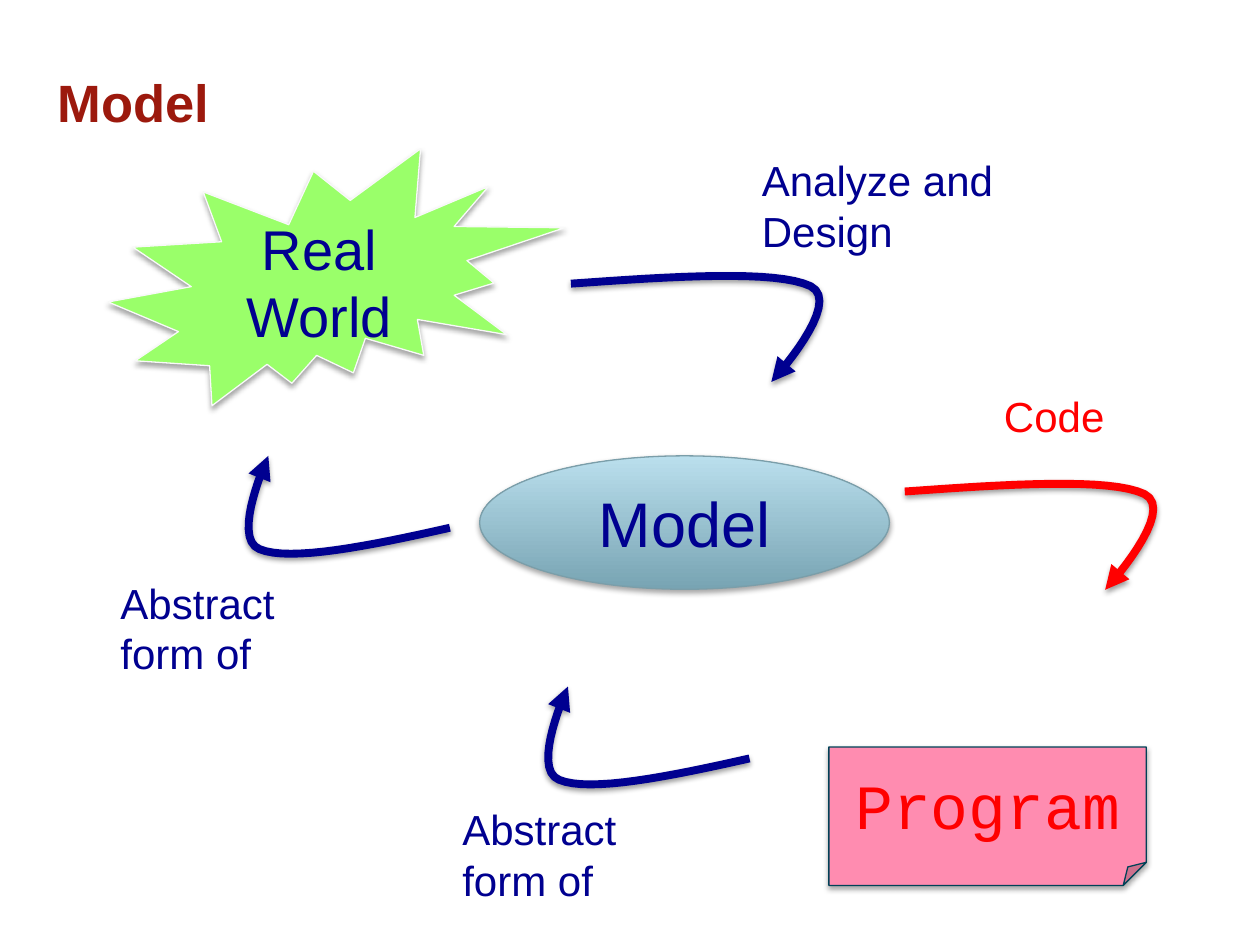
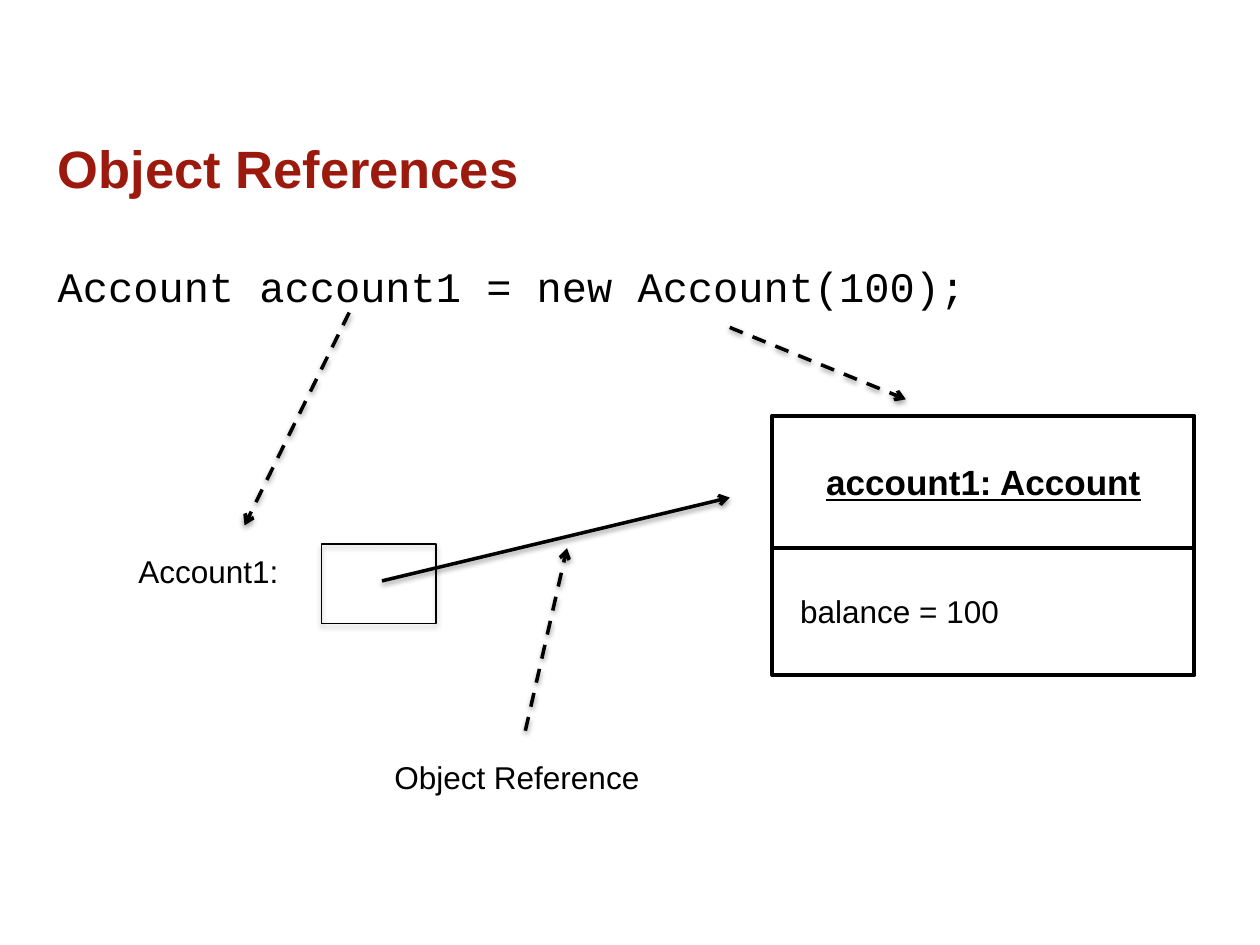
from dataclasses import dataclass

import pptx
import pptx.dml.color
import pptx.enum.dml
import pptx.enum.shapes
import pptx.enum.text
import pptx.oxml.ns
import pptx.util
from lxml import etree

Cm, Pt = pptx.util.Cm, pptx.util.Pt
Kind = pptx.enum.shapes.MSO_SHAPE
Align = pptx.enum.text.PP_ALIGN
Anchor = pptx.enum.text.MSO_ANCHOR
qn = pptx.oxml.ns.qn

# Shared look
SANS, MONO = "Arial", "Courier New"
TITLE, NAVY, RED, BLACK = "9C190D", "000090", "FF0000", "000000"
SHAPE_SHADOW = (35, 23000)  # opacity in percent, distance in EMU
LINE_SHADOW = (38, 20000)
MARGIN, CONTENT_WIDTH = 0.91, 23.57

# Curve points in cm from the start: two joined Bezier arcs
TURN_DOWN = [(0, 0), (2.08, -0.15), (4.14, -0.28), (4.83, 0.05),
             (5.51, 0.38), (4.04, 1.98), (4.04, 1.98)]
TURN_UP = [(0, 0), (-1.6, 0.36), (-3.23, 0.69), (-3.84, 0.43),
           (-4.42, 0.2), (-3.66, -1.45), (-3.66, -1.45)]
STEPS = 16


@dataclass
class Label:
    text: str
    left: float
    top: float
    width: float
    height: float
    size: int = 24
    color: str = NAVY


@dataclass
class Figure:
    kind: Kind
    left: float
    top: float
    width: float
    height: float
    line: str = BLACK
    line_width: float = 0.75
    fill: tuple[str, ...] = ()  # none, one solid colour, or bottom and top
    shadow: bool = True
    text: str = ""
    size: int = 36
    color: str = BLACK
    font: str = SANS
    align: Align = Align.CENTER
    bold: bool = False
    inset: float = 0.25


@dataclass
class CurvedArrow:
    start: tuple[float, float]
    points: list[tuple[float, float]]
    color: str = NAVY


@dataclass
class StraightArrow:
    start: tuple[float, float]
    end: tuple[float, float]
    dashed: bool = True


def rgb(value: str) -> pptx.dml.color.RGBColor:
    return pptx.dml.color.RGBColor.from_string(value)


def style_text(para, size: int, color: str, font: str = SANS, bold: bool = False) -> None:
    para.font.size = Pt(size)
    para.font.name = font
    para.font.bold = bold
    para.font.color.rgb = rgb(color)


def set_line(shape, color: str, width: float) -> None:
    shape.line.color.rgb = rgb(color)
    shape.line.width = Pt(width)


def add_effects(shape, shadow: tuple[int, int] | None) -> None:
    """Replace the theme shadow with the given one, or with none."""
    effects = etree.SubElement(shape.element.spPr, qn("a:effectLst"))
    if shadow:
        opacity, distance = shadow
        outer = etree.SubElement(effects, qn("a:outerShdw"), blurRad="40000",
                                 dist=str(distance), dir="5400000", rotWithShape="0")
        color = etree.SubElement(outer, qn("a:srgbClr"), val=BLACK)
        etree.SubElement(color, qn("a:alpha"), val=str(opacity * 1000))


def add_arrowhead(shape, head: str) -> None:
    line = shape.element.spPr.find(qn("a:ln"))
    etree.SubElement(line, qn("a:tailEnd"), type=head)


def fill_placeholder(box, text: str, top: float, height: float, inset: float):
    """Place a title or body placeholder and return its only paragraph."""
    box.left, box.top = Cm(MARGIN), Cm(top)
    box.width, box.height = Cm(CONTENT_WIDTH), Cm(height)
    frame = box.text_frame
    frame.text = text
    frame.auto_size = pptx.enum.text.MSO_AUTO_SIZE.NONE
    frame.vertical_anchor = Anchor.TOP
    frame.margin_top = Cm(inset)
    para = frame.paragraphs[0]
    para.alignment = Align.LEFT
    para.space_before = Pt(0)
    return para


def add_title(page, text: str, top: float) -> None:
    para = fill_placeholder(page.shapes.title, text, top, 1.83, 0.23)
    style_text(para, 30, TITLE, bold=True)


def add_code(page, text: str, top: float) -> None:
    para = fill_placeholder(page.placeholders[1], text, top, 12.14, 0.28)
    properties = para._p.get_or_add_pPr()
    properties.set("marL", "0")
    properties.set("indent", "0")
    etree.SubElement(properties, qn("a:buNone"))
    style_text(para, 24, BLACK, MONO)


def add_label(page, label: Label) -> None:
    box = page.shapes.add_textbox(Cm(label.left), Cm(label.top),
                                  Cm(label.width), Cm(label.height))
    box.text_frame.word_wrap = True
    box.text_frame.text = label.text
    style_text(box.text_frame.paragraphs[0], label.size, label.color)


def add_figure(page, figure: Figure):
    shape = page.shapes.add_shape(figure.kind, Cm(figure.left), Cm(figure.top),
                                  Cm(figure.width), Cm(figure.height))
    if len(figure.fill) == 2:
        shape.fill.gradient()
        shape.fill.gradient_angle = 90
        for stop, position, color in zip(shape.fill.gradient_stops, (0, 1), figure.fill):
            stop.position = position
            stop.color.rgb = rgb(color)
    elif figure.fill:
        shape.fill.solid()
        shape.fill.fore_color.rgb = rgb(figure.fill[0])
    else:
        shape.fill.background()
    set_line(shape, figure.line, figure.line_width)
    add_effects(shape, SHAPE_SHADOW if figure.shadow else None)
    if figure.text:
        frame = shape.text_frame
        frame.word_wrap = True
        frame.vertical_anchor = Anchor.MIDDLE
        frame.margin_left = Cm(figure.inset)
        frame.text = figure.text
        para = frame.paragraphs[0]
        para.alignment = figure.align
        style_text(para, figure.size, figure.color, figure.font, figure.bold)
    return shape


def bezier(points: list[tuple[float, float]], t: float) -> tuple[float, float]:
    weights = ((1 - t) ** 3, 3 * t * (1 - t) ** 2, 3 * t ** 2 * (1 - t), t ** 3)
    x, y = (sum(w * value for w, value in zip(weights, axis)) for axis in zip(*points))
    return x, y


def add_curved_arrow(page, arrow: CurvedArrow) -> None:
    left, top = arrow.start
    places = [bezier(arc, step / STEPS)
              for arc in (arrow.points[:4], arrow.points[3:])
              for step in range(1, STEPS + 1)]
    builder = page.shapes.build_freeform(Cm(left), Cm(top))
    builder.add_line_segments([(Cm(left + x), Cm(top + y)) for x, y in places], close=False)
    shape = builder.convert_to_shape()
    shape.fill.background()
    set_line(shape, arrow.color, 4.5)
    add_arrowhead(shape, "triangle")
    add_effects(shape, LINE_SHADOW)


def add_straight_arrow(page, arrow: StraightArrow) -> None:
    line = page.shapes.add_connector(pptx.enum.shapes.MSO_CONNECTOR.STRAIGHT,
                                     *map(Cm, arrow.start + arrow.end))
    set_line(line, BLACK, 2)
    if arrow.dashed:
        line.line.dash_style = pptx.enum.dml.MSO_LINE.DASH
    add_arrowhead(line, "arrow")
    add_effects(line, LINE_SHADOW)


def build_model_page(deck) -> None:
    page = deck.slides.add_slide(deck.slide_layouts[5])
    add_title(page, "Model", 1.19)
    for figure in (
        Figure(Kind.EXPLOSION2, 2.18, 3, 9.2, 5.18, "F9F9F9", fill=("9AFF6A",),
               text="Real World", size=32, color=NAVY),
        Figure(Kind.OVAL, 9.67, 9.19, 8.26, 2.69, "7B9EA9", fill=("78A4B3", "BADFED"),
               text="Model", color=NAVY),
        Figure(Kind.FOLDED_CORNER, 16.71, 15.06, 6.4, 2.79, "004257", fill=("FF8CB0",),
               text="Program", color=RED, font=MONO),
    ):
        add_figure(page, figure)
    for arrow in (
        CurvedArrow((11.51, 5.72), TURN_DOWN),
        CurvedArrow((18.24, 9.91), TURN_DOWN, RED),
        CurvedArrow((9.07, 10.64), TURN_UP),
        CurvedArrow((15.11, 15.29), TURN_UP),
    ):
        add_curved_arrow(page, arrow)
    for label in (
        Label("Analyze and Design", 15.11, 3, 5.66, 2.31),
        Label("Abstract form of", 2.18, 11.51, 4.85, 2.31),
        Label("Abstract form of", 9.07, 16.08, 4.85, 2.31),
        Label("Code", 19.99, 7.75, 4.88, 1.27, color=RED),
    ):
        add_label(page, label)


def build_reference_page(deck) -> None:
    page = deck.slides.add_slide(deck.slide_layouts[1])
    add_title(page, "Object References", 2.51)
    add_code(page, "Account account1 = new Account(100);", 4.98)

    # Variable and its reference
    add_label(page, Label("Account1:", 2.54, 11, 3.61, 1.02, 18, BLACK))
    add_label(page, Label("Object Reference", 7.7, 15.16, 5.6, 1.02, 18, BLACK))
    add_figure(page, Figure(Kind.RECTANGLE, 6.48, 10.97, 2.31, 1.6))

    # Object diagram
    heading = add_figure(page, Figure(
        Kind.RECTANGLE, 15.57, 8.38, 8.51, 2.66, line_width=2.25, shadow=False,
        text="account1: Account", size=20, bold=True))
    heading.text_frame.paragraphs[0].font.underline = True
    add_figure(page, Figure(
        Kind.RECTANGLE, 15.57, 11.04, 8.51, 2.57, line_width=2.25, shadow=False,
        text="balance = 100", size=18, align=Align.LEFT, inset=0.56))

    for arrow in (
        StraightArrow((7.7, 11.71), (14.71, 10.03), dashed=False),
        StraightArrow((14.71, 6.6), (18.26, 8.05)),
        StraightArrow((10.59, 14.73), (11.43, 11.05)),
        StraightArrow((7.04, 6.3), (4.93, 10.59)),
    ):
        add_straight_arrow(page, arrow)


def main() -> None:
    deck = pptx.Presentation()
    deck.slide_width, deck.slide_height = Cm(25.4), Cm(19.05)
    build_model_page(deck)
    build_reference_page(deck)
    deck.save("out.pptx")


if __name__ == "__main__":
    main()
